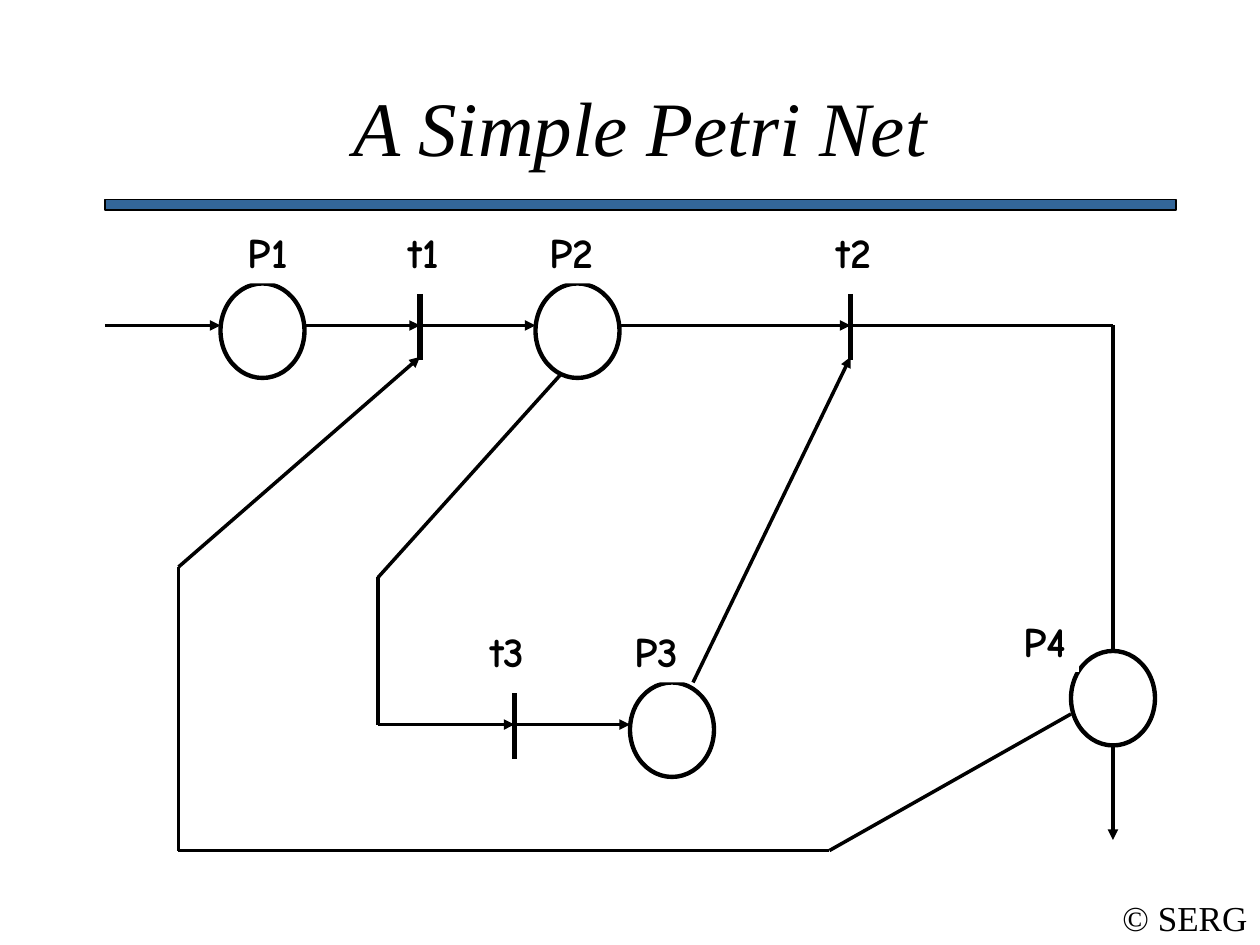
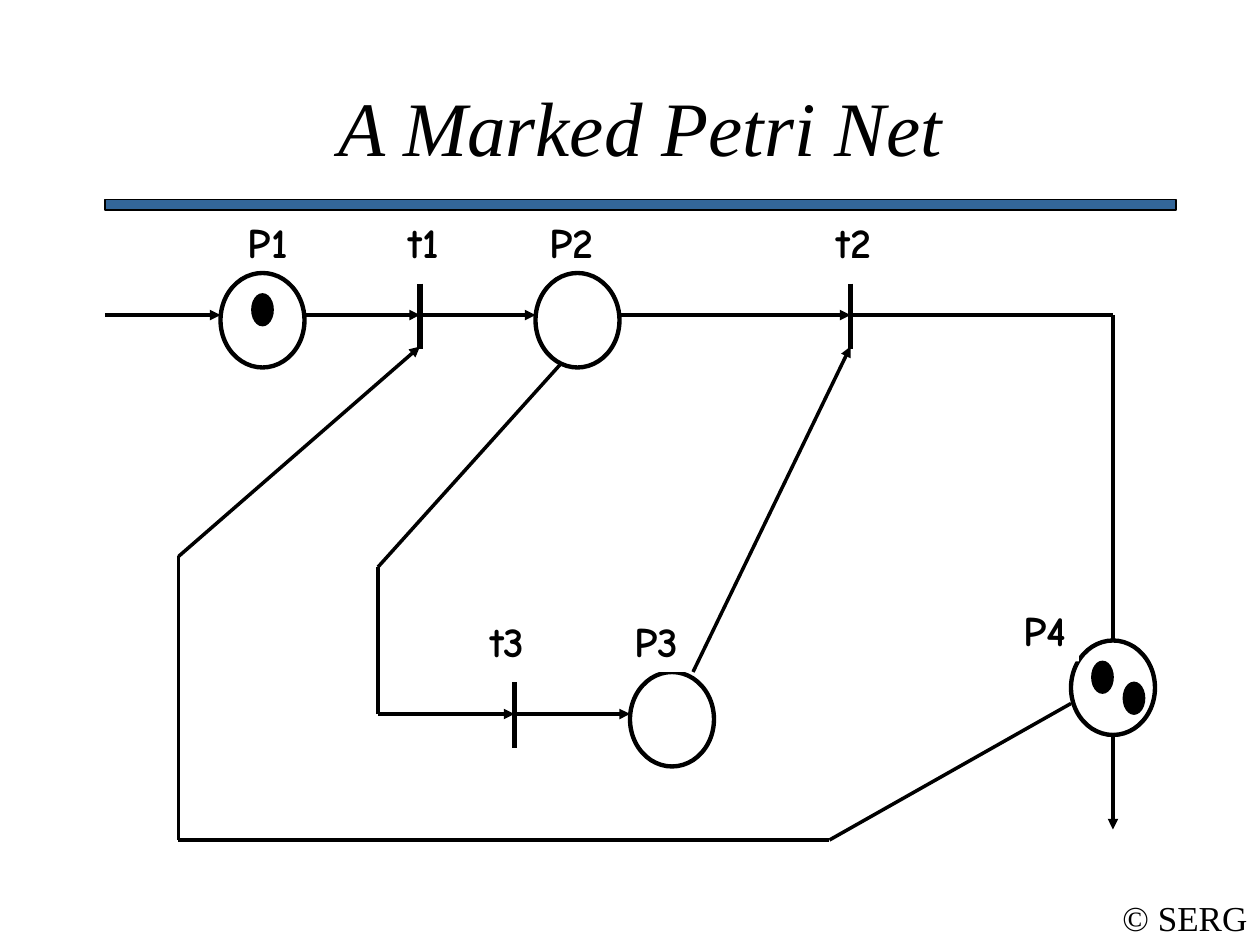
import itertools
from dataclasses import dataclass

import pptx
import pptx.dml.color
import pptx.enum.shapes
import pptx.enum.text
import pptx.util
from lxml import etree
from pptx.oxml.ns import qn

Pt = pptx.util.Pt
SHAPE = pptx.enum.shapes.MSO_SHAPE
FIT = pptx.enum.text.MSO_AUTO_SIZE
ANCHOR = pptx.enum.text.MSO_ANCHOR


@dataclass(frozen=True)
class Theme:
    ink: str = "000000"
    paper: str = "FFFFFF"
    band: str = "336699"
    serif: str = "Times New Roman"
    hand: str = "Comic Neue"
    title_size: float = 44
    footer_size: float = 20
    label_size: float = 24
    thin: float = 1
    arc: float = 2
    place: float = 2.5
    bar: float = 3


THEME = Theme()

# Net geometry, relative to the top left corner of the net's box
PLACE_W, PLACE_H = 48, 54
TOKEN_W, TOKEN_H = 12, 18
BAR_H = 37.5
LABEL_H = 36
PLACES = {"P1": (66, 36), "P2": (246, 36), "P3": (300, 264), "P4": (552, 246)}
BARS = {"t1": (180, 42), "t2": (426, 42), "t3": (234, 270)}
LABELS = {  # left, top, width
    "P1": (73.5, 0, 39),
    "P2": (246.5, 0, 40),
    "t1": (165.5, 0, 33),
    "t2": (410, 0, 36),
    "t3": (212, 228, 36),
    "P3": (295, 228, 40),
    "P4": (517.5, 222, 39),
}
ARCS = [  # points along the arc, arrowhead at its end
    ([(0, 60), (66, 60)], True),
    ([(114, 60), (180, 60)], True),
    ([(180, 60), (246, 60)], True),
    ([(294, 60), (426, 60)], True),
    ([(426, 60), (576, 60), (576, 258)], False),
    ([(264, 84), (156, 204), (156, 288), (234, 288)], True),
    ([(234, 288), (300, 288)], True),
    ([(336, 264), (426, 78)], True),
    ([(552, 282), (414, 360), (42, 360), (42, 198), (180, 78)], True),
    ([(576, 300), (576, 354)], True),
]


def rgb(value):
    return pptx.dml.color.RGBColor.from_string(value)


def add_filled(slide, kind, box, fill, width):
    sp = slide.shapes.add_shape(kind, *map(Pt, box))
    sp.shadow.inherit = False
    sp.fill.solid()
    sp.fill.fore_color.rgb = rgb(fill)
    sp.line.color.rgb = rgb(THEME.ink)
    sp.line.width = Pt(width)
    return sp


def add_line(slide, start, end, width, arrow=False):
    cx = slide.shapes.add_connector(
        pptx.enum.shapes.MSO_CONNECTOR.STRAIGHT, *map(Pt, (*start, *end)))
    cx.line.color.rgb = rgb(THEME.ink)
    cx.line.width = Pt(width)
    if arrow:
        etree.SubElement(cx.line._get_or_add_ln(), qn("a:tailEnd"), type="triangle")
    etree.SubElement(cx._element.spPr, qn("a:effectLst"))


def add_text(slide, box, text, font, size, bold=False, italic=False,
             wrap=False, anchor=ANCHOR.MIDDLE):
    sp = slide.shapes.add_textbox(*map(Pt, box))
    tf = sp.text_frame
    tf.word_wrap = wrap
    tf.auto_size = FIT.NONE if wrap else FIT.SHAPE_TO_FIT_TEXT
    tf.vertical_anchor = anchor
    p = tf.paragraphs[0]
    p.text = text
    p.alignment = pptx.enum.text.PP_ALIGN.CENTER
    p.font.name = font
    p.font.size = Pt(size)
    p.font.bold = bold
    p.font.italic = italic
    p.font.color.rgb = rgb(THEME.ink)
    return sp


def add_frame(slide, title, left=60, top=18, width=612):
    """Title, band below it and footer."""
    add_filled(slide, SHAPE.RECTANGLE, (left, top + 96, width, 6), THEME.band, THEME.thin)
    add_text(slide, (634.3, 508.3, 85.7, 31.7), "© SERG", THEME.serif, THEME.footer_size)
    add_text(slide, (left, top, width, 84), title, THEME.serif, THEME.title_size,
             italic=True, wrap=True, anchor=ANCHOR.BOTTOM)


def add_net(slide, left, top, tokens, clear_labels):
    """Petri net; tokens maps a place to the offsets of its tokens."""
    def at(x, y):
        return left + x, top + y

    # Arcs and transition bars
    for points, arrow in ARCS:
        segments = list(itertools.pairwise(points))
        for i, (a, b) in enumerate(segments, 1):
            add_line(slide, at(*a), at(*b), THEME.arc, arrow and i == len(segments))
    for x, y in BARS.values():
        add_line(slide, at(x, y), at(x, y + BAR_H), THEME.bar)

    # Places
    for x, y in PLACES.values():
        add_filled(slide, SHAPE.OVAL, (*at(x, y), PLACE_W, PLACE_H), THEME.paper, THEME.place)

    # Labels
    for name, (x, y, w) in LABELS.items():
        sp = add_text(slide, (*at(x, y), w, LABEL_H), name, THEME.hand,
                      THEME.label_size, bold=True)
        if name not in clear_labels:
            sp.fill.solid()
            sp.fill.fore_color.rgb = rgb(THEME.paper)

    # Tokens
    for name, offsets in tokens.items():
        x, y = PLACES[name]
        for dx, dy in offsets:
            add_filled(slide, SHAPE.FLOWCHART_CONNECTOR,
                       (*at(x + dx, y + dy), TOKEN_W, TOKEN_H), THEME.ink, THEME.thin)


def add_net_slide(prs, title, net_top, tokens, clear_labels=()):
    slide = prs.slides.add_slide(prs.slide_layouts[6])
    slide.background.fill.solid()
    slide.background.fill.fore_color.rgb = rgb(THEME.paper)
    add_frame(slide, title)
    add_net(slide, 60, net_top, tokens, clear_labels)


def main():
    prs = pptx.Presentation()
    prs.slide_width, prs.slide_height = Pt(720), Pt(540)
    add_net_slide(prs, "A Simple Petri Net", 126, {})
    add_net_slide(prs, "A Marked Petri Net", 120,
                  {"P1": [(18, 12)], "P4": [(30, 24), (12, 12)]},
                  clear_labels=("P1", "P2", "t1", "t2"))
    prs.save("out.pptx")


if __name__ == "__main__":
    main()
